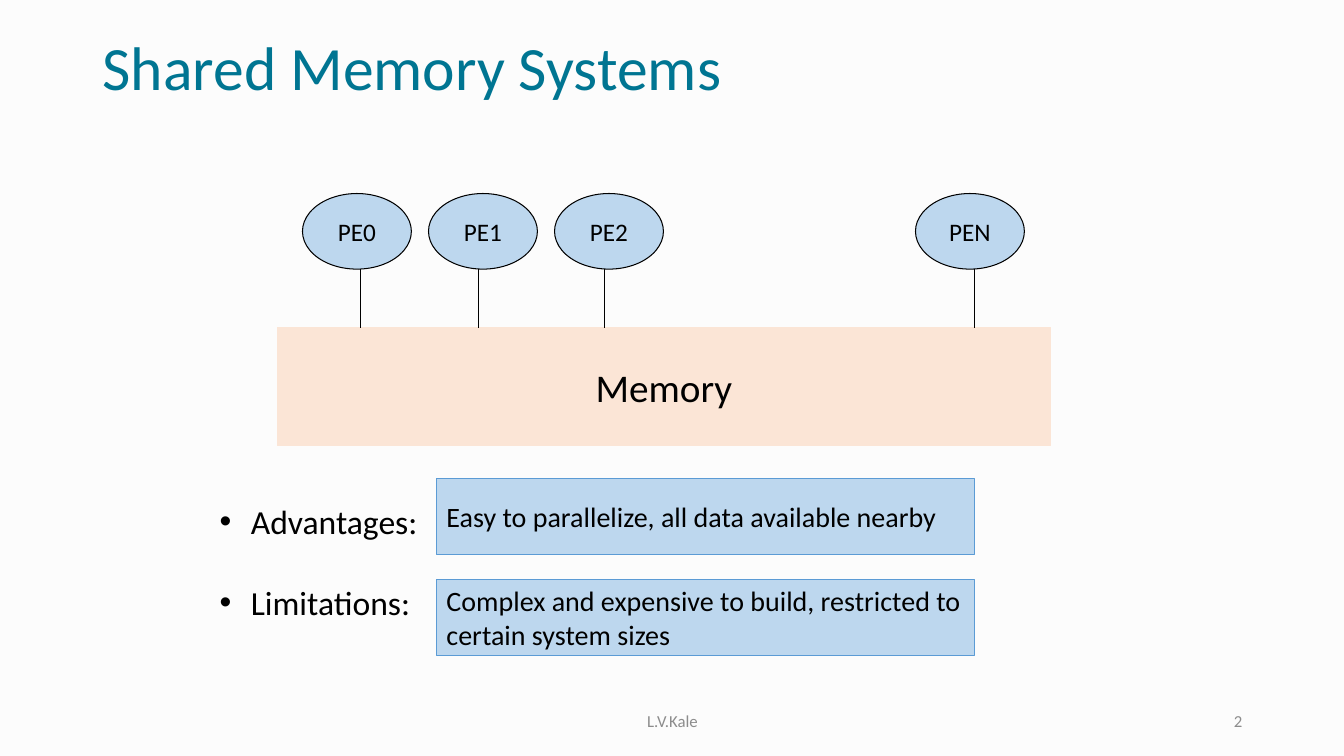
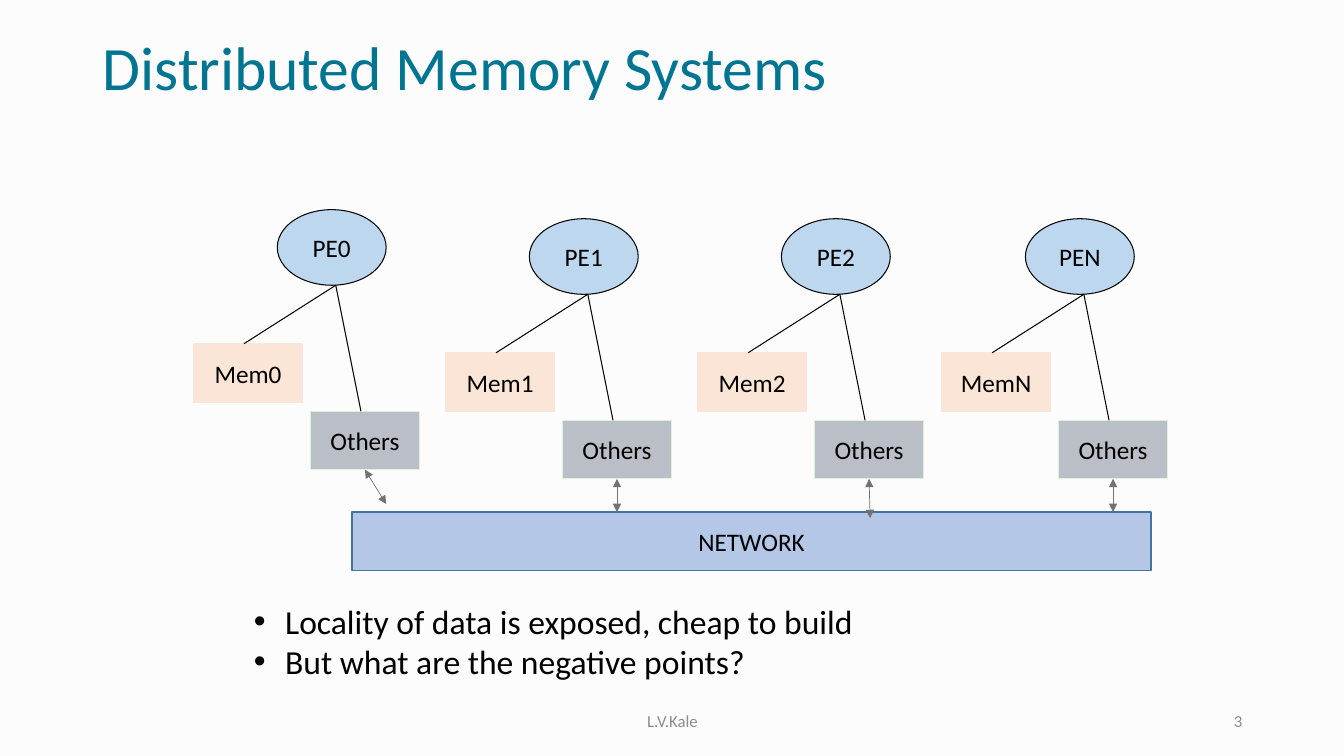
"""Builds two slides comparing shared and distributed memory systems."""
from dataclasses import dataclass

from lxml import etree
from pptx import Presentation
from pptx.dml.color import RGBColor
from pptx.enum.shapes import MSO_CONNECTOR, MSO_SHAPE
from pptx.enum.text import MSO_ANCHOR, PP_ALIGN
from pptx.oxml.ns import qn
from pptx.util import Inches, Pt

OVAL, RECT = MSO_SHAPE.OVAL, MSO_SHAPE.RECTANGLE
STRAIGHT = MSO_CONNECTOR.STRAIGHT
LEFT, CENTER, RIGHT = PP_ALIGN.LEFT, PP_ALIGN.CENTER, PP_ALIGN.RIGHT
TOP, MIDDLE = MSO_ANCHOR.TOP, MSO_ANCHOR.MIDDLE


@dataclass(frozen=True)
class Theme:
    font: str = "Calibri"
    paper: str = "FCFCFC"
    ink: str = "000000"
    title: str = "007592"
    footer: str = "8C8C8C"
    node: str = "BDD7EE"
    note_edge: str = "5B9BD5"
    memory: str = "FBE5D6"
    others: str = "B9BEC7"
    others_edge: str = "E2F0D9"
    network: str = "B4C7E7"
    network_edge: str = "43739E"
    arrow: str = "767171"
    title_size: int = 44
    memory_size: int = 28
    bullet_size: int = 24
    note_size: int = 20
    label_size: int = 18
    footer_size: int = 12
    thin: float = 0.5
    normal: float = 0.75
    thick: float = 1.25


T = Theme()

AUTHOR = "L.V.Kale"
SHARED_TITLE = "Shared Memory Systems"
SHARED_NODES = [("PE0", 3, 3.58), ("PE1", 4.25, 4.75),
                ("PE2", 5.5, 6), ("PEN", 9.08, 9.67)]
SHARED_BULLETS = ["Advantages:", "Limitations:"]
SHARED_NOTES = ["Easy to parallelize, all data available nearby",
                "Complex and expensive to build, restricted to certain system sizes"]

DISTRIBUTED_TITLE = "Distributed Memory Systems"
DISTRIBUTED_NODES = [("0", 2.75, 2.08, (3.83, 5)), ("1", 5.25, 2.17, (6.12, 5.08)),
                     ("2", 7.75, 2.17, (8.63, 5.14)), ("N", 10.17, 2.17, (11.04, 5.08))]
DISTRIBUTED_BULLETS = ["Locality of data is exposed, cheap to build",
                       "But what are the negative points?"]

NODE_W, NODE_H, UNIT_H = 1.08, 0.75, 0.58
BULLET_INDENT = 0.31


def rgb(color):
    return RGBColor.from_string(color)


def write(sp, lines, size=T.label_size, color=T.ink, align=LEFT, anchor=MIDDLE,
          wrap=True, bullet=False, gap=0, spacing=None):
    tf = sp.text_frame
    tf.word_wrap, tf.vertical_anchor = wrap, anchor
    for i, text in enumerate(lines):
        p = tf.paragraphs[0] if i == 0 else tf.add_paragraph()
        p.alignment = align
        if spacing:
            p.line_spacing = spacing
        if i and gap:
            p.space_before = Pt(gap)
        if bullet:
            pPr = p._p.get_or_add_pPr()
            indent = Inches(BULLET_INDENT)
            pPr.set("marL", str(indent))
            pPr.set("indent", str(-indent))
            etree.SubElement(pPr, qn("a:buFont")).set("typeface", "Arial")
            etree.SubElement(pPr, qn("a:buChar")).set("char", "•")
        r = p.add_run()
        r.text = text
        r.font.name, r.font.size = T.font, Pt(size)
        r.font.color.rgb = rgb(color)


def add_text(s, box, *lines, **style):
    write(s.shapes.add_textbox(*map(Inches, box)), lines, **style)


def add_box(s, kind, box, text, fill, edge, width=T.normal, **style):
    sp = s.shapes.add_shape(kind, *map(Inches, box))
    sp.shadow.inherit = False
    sp.fill.solid()
    sp.fill.fore_color.rgb = rgb(fill)
    sp.line.color.rgb = rgb(edge)
    sp.line.width = Pt(width)
    write(sp, [text], **style)


def add_label(s, kind, box, text, fill, edge, **style):
    add_box(s, kind, box, text, fill, edge, align=CENTER, wrap=False, **style)


def add_line(s, start, end, color=T.ink, width=T.normal, arrows=False):
    cx = s.shapes.add_connector(STRAIGHT, *map(Inches, (*start, *end)))
    cx.line.color.rgb = rgb(color)
    cx.line.width = Pt(width)
    if arrows:
        ln = cx.line._get_or_add_ln()
        for tag in ("a:headEnd", "a:tailEnd"):
            etree.SubElement(ln, qn(tag)).set("type", "triangle")
    etree.SubElement(cx._element.spPr, qn("a:effectLst"))


def add_slide(prs, title, number):
    s = prs.slides.add_slide(prs.slide_layouts[6])
    s.background.fill.solid()
    s.background.fill.fore_color.rgb = rgb(T.paper)
    add_text(s, (0.92, 0.28, 11.5, 0.84), title,
             size=T.title_size, color=T.title, spacing=0.9)
    footer = dict(size=T.footer_size, color=T.footer)
    add_text(s, (4.42, 6.95, 4.5, 0.4), AUTHOR, align=CENTER, **footer)
    add_text(s, (9.42, 6.95, 3, 0.4), str(number), align=RIGHT, **footer)
    return s


def build_shared(prs):
    s = add_slide(prs, SHARED_TITLE, 2)
    node_y, memory_y = 1.92, 3.25
    add_label(s, RECT, (2.75, memory_y, 7.67, 1.17), "Memory",
              T.memory, T.memory, size=T.memory_size)
    for name, x, line_x in SHARED_NODES:
        add_label(s, OVAL, (x, node_y, NODE_W, NODE_H), name, T.node, T.ink)
        add_line(s, (line_x, node_y + NODE_H), (line_x, memory_y))
    add_text(s, (2.08, 4.92, 8.67, 1.31), *SHARED_BULLETS,
             size=T.bullet_size, anchor=TOP, bullet=True, gap=29)
    for i, note in enumerate(SHARED_NOTES):
        add_box(s, RECT, (4.33, 4.75 + i, 5.33, 0.75), note,
                T.node, T.note_edge, width=T.thin, size=T.note_size)


def build_distributed(prs):
    s = add_slide(prs, DISTRIBUTED_TITLE, 3)
    add_box(s, RECT, (3.49, 5.08, 7.93, UNIT_H), "NETWORK",
            T.network, T.network_edge, width=T.thick, align=CENTER)
    for name, x, y, arrow_end in DISTRIBUTED_NODES:
        memory_y, others_y = y + 1.33, y + 2
        fork = (x + 0.58, y + NODE_H)
        add_label(s, OVAL, (x, y, NODE_W, NODE_H), "PE" + name, T.node, T.ink)
        add_label(s, RECT, (x - 0.83, memory_y, NODE_W, UNIT_H), "Mem" + name,
                  T.memory, T.memory)
        add_label(s, RECT, (x + 0.33, others_y, NODE_W, UNIT_H), "Others",
                  T.others, T.others_edge)
        add_line(s, fork, (x - 0.33, memory_y))
        add_line(s, fork, (x + 0.83, others_y))
        add_line(s, (x + 0.87, others_y + UNIT_H), arrow_end,
                 color=T.arrow, width=T.thin, arrows=True)
    add_text(s, (2.42, 5.91, 8.42, 0.91), *DISTRIBUTED_BULLETS,
             size=T.bullet_size, anchor=TOP, bullet=True)


prs = Presentation()
prs.slide_width, prs.slide_height = Inches(13.33), Inches(7.5)
build_shared(prs)
build_distributed(prs)
prs.save("out.pptx")
